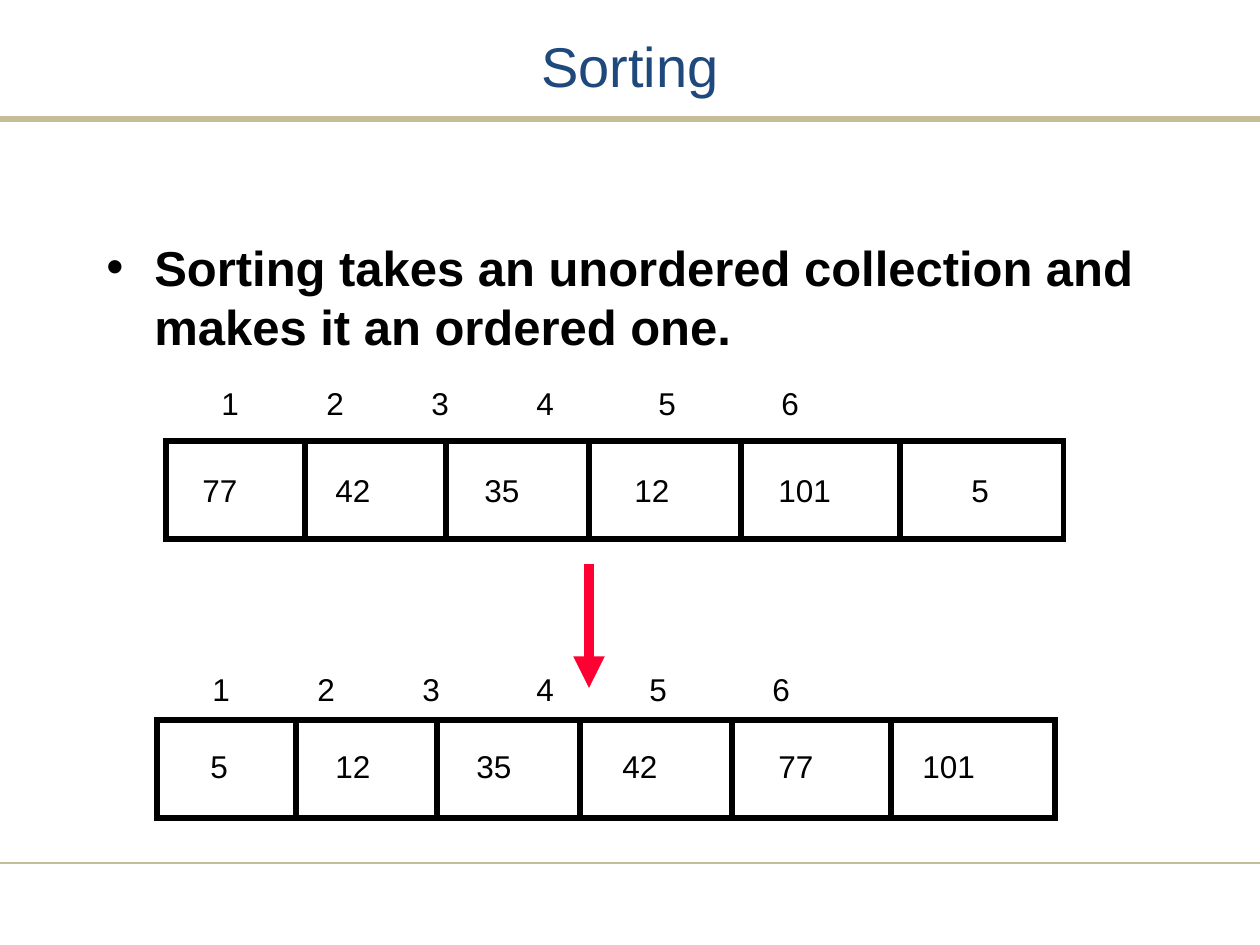
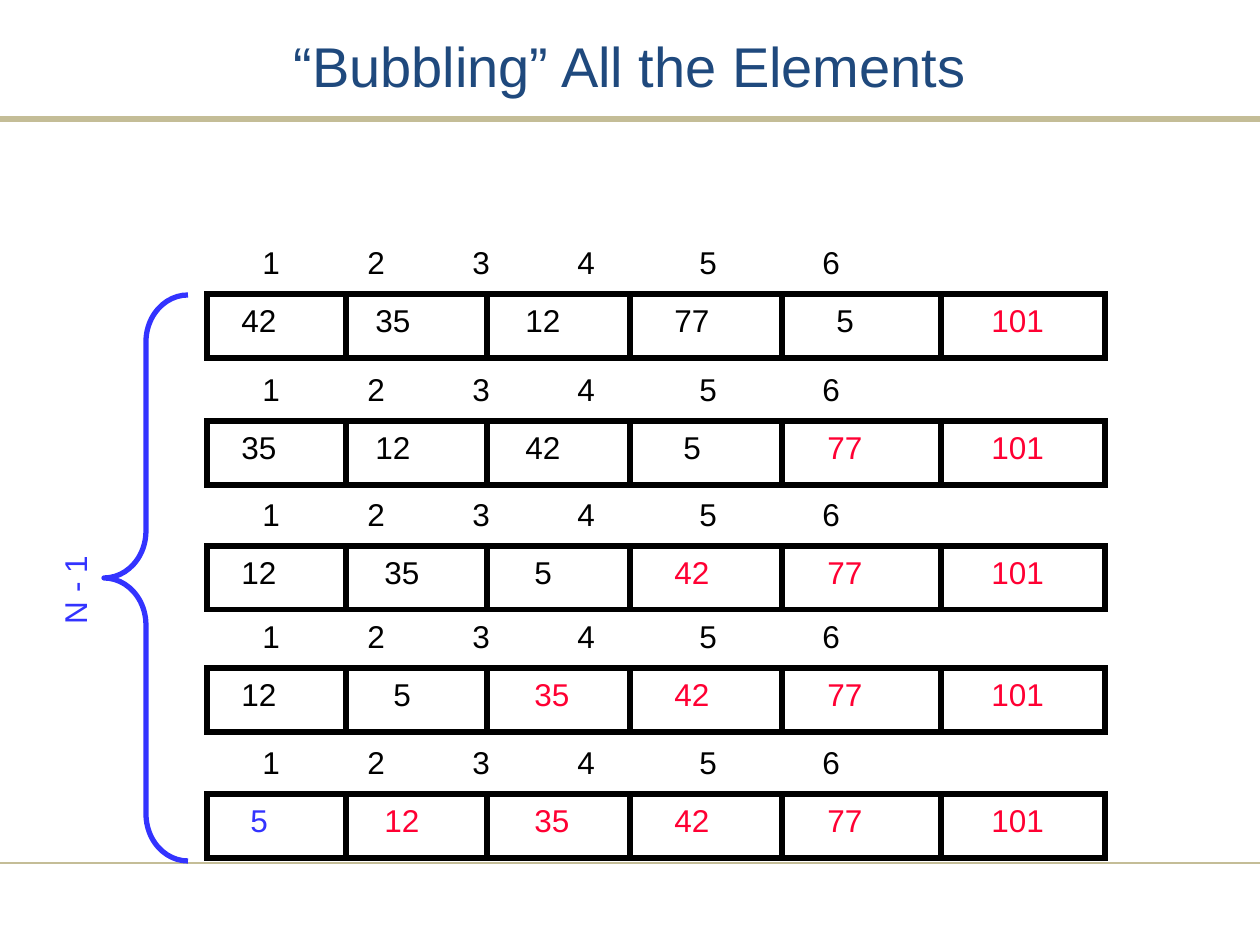
from lxml.etree import SubElement
from pptx import Presentation
from pptx.dml.color import RGBColor
from pptx.enum.shapes import MSO_CONNECTOR, MSO_SHAPE
from pptx.enum.text import MSO_ANCHOR, PP_ALIGN
from pptx.oxml.ns import qn
from pptx.util import Pt

# Shared scale, font and colours
PX = 7257  # EMU in one pixel, 126 pixels to the inch
FONT = "Arial"
NAVY, TAN, BLACK, RED, BLUE = "1F497D", "C4BD97", "000000", "FF0033", "3333FF"
hue = RGBColor.from_string


def text(frame, words, size=18, color=BLACK, bold=False):
    """Write one run into the first paragraph and return that paragraph."""
    frame.word_wrap = True
    para = frame.paragraphs[0]
    run = para.add_run()
    run.text = words
    run.font.name, run.font.size, run.font.bold = FONT, Pt(size), bold
    run.font.color.rgb = hue(color)
    return para


def line(slide, x1, y1, x2, y2, color=BLACK, width=3):
    """Draw a straight line and return its outline element."""
    rule = slide.shapes.add_connector(
        MSO_CONNECTOR.STRAIGHT, x1 * PX, y1 * PX, x2 * PX, y2 * PX)
    rule.line.color.rgb = hue(color)
    rule.line.width = Pt(width)
    props = rule._element.spPr
    SubElement(props, qn("a:effectLst"))
    return props.get_or_add_ln()


deck = Presentation()
deck.slide_width, deck.slide_height = 1260 * PX, 945 * PX

# Both slides: title and the two rules
slides = []
for name in ("Sorting", "“Bubbling” All the Elements"):
    slide = deck.slides.add_slide(deck.slide_layouts[5])
    line(slide, 0, 863, 1260, 863, TAN, 1)
    line(slide, 0, 119, 1260, 119, TAN)
    title = slide.shapes.title
    title.left, title.top = 63 * PX, 16 * PX
    title.width, title.height = 1134 * PX, 98 * PX
    title.text_frame.vertical_anchor = MSO_ANCHOR.MIDDLE
    text(title.text_frame, name, 32, NAVY).alignment = PP_ALIGN.CENTER
    slides.append(slide)
intro, passes = slides

# Slide 1: bullet
body = intro.shapes.add_textbox(94 * PX, 231 * PX, 1071 * PX, 140 * PX)
para = text(body.text_frame, "Sorting takes an unordered collection and "
            "makes it an ordered one.", 28, bold=True)
para.space_before = Pt(5.6)
props = para._p.get_or_add_pPr()
props.set("marL", str(48 * PX))
props.set("indent", str(-48 * PX))
SubElement(props, qn("a:buFont"), typeface=FONT)
SubElement(props, qn("a:buChar"), char="•")

# Slide 1: arrow from the unordered to the ordered array
arrow = line(intro, 589, 564, 589, 688, RED, 6)
SubElement(arrow, qn("a:tailEnd"), type="triangle")

# Arrays: slide, left, top, height, lift of the index, drop of the values,
# fourth index stop, values, their offsets and colours
rows = [
    (intro, 166, 441, 98, 63, 24, 315, (77, 42, 35, 12, 101, 5),
     (24, 157, 306, 456, 600, 793), [BLACK] * 6),
    (intro, 157, 720, 98, 56, 21, 324, (5, 12, 35, 42, 77, 101),
     (41, 166, 307, 453, 609, 753), [BLACK] * 6),
]

# Each pass puts one more value in place; some values sit a few pads in
starts, PAD = (22, 156, 306, 455, 599, 763), 9
steps = [
    (294, (42, 35, 12, 77, 5, 101), (0, 0, 0, 0, 2, 1)),
    (421, (35, 12, 42, 5, 77, 101), (0, 0, 0, 1, 1, 1)),
    (546, (12, 35, 5, 42, 77, 101), (0, 1, 1, 0, 1, 1)),
    (668, (12, 5, 35, 42, 77, 101), (0, 2, 1, 0, 1, 1)),
    (794, (5, 12, 35, 42, 77, 101), (1, 1, 1, 0, 1, 1)),
]
for done, (top, values, pads) in enumerate(steps, 1):
    shifts = [start + pad * PAD for start, pad in zip(starts, pads)]
    first = BLUE if done == len(steps) else BLACK
    colors = [first] * (6 - done) + [RED] * done
    rows.append((passes, 207, top, 64, 57, 1, 315, values, shifts, colors))

for slide, left, top, high, lift, drop, fourth, values, shifts, colors in rows:
    # Frame and dividers
    frame = slide.shapes.add_shape(
        MSO_SHAPE.RECTANGLE, left * PX, top * PX, 898 * PX, high * PX)
    frame.shadow.inherit = False
    frame.fill.background()
    frame.line.color.rgb = hue(BLACK)
    frame.line.width = Pt(3)
    SubElement(frame._element.spPr.get_or_add_ln(), qn("a:miter"), lim="800000")
    for edge in (139, 280, 423, 575, 734):
        line(slide, left + edge, top, left + edge, top + high)

    # Index numbers on tab stops
    index = slide.shapes.add_textbox(
        (left + 43) * PX, (top - lift) * PX, 791 * PX, 63 * PX)
    para = text(index.text_frame, "1\t2\t3\t4\t5\t6")
    tabs = SubElement(para._p.get_or_add_pPr(), qn("a:tabLst"))
    for stop in (105, 210, fourth, 437, 560):
        SubElement(tabs, qn("a:tab"), pos=str(stop * PX), algn="l")

    # Values
    for value, shift, color in zip(values, shifts, colors):
        wide = 25 + 24 * len(str(value))
        cell = slide.shapes.add_textbox(
            (left + shift) * PX, (top + drop) * PX, wide * PX, 63 * PX)
        text(cell.text_frame, str(value), color=color)

# Slide 2: brace and its label
brace = passes.shapes.add_shape(
    MSO_SHAPE.LEFT_BRACE, 104 * PX, 295 * PX, 84 * PX, 566 * PX)
brace.shadow.inherit = False
brace.adjustments[0] = 0.56
brace.fill.background()
brace.line.color.rgb = hue(BLUE)
brace.line.width = Pt(3)
label = passes.shapes.add_textbox(23 * PX, 547 * PX, 116 * PX, 63 * PX)
label.rotation = 270
text(label.text_frame, "N - 1", color=BLUE)

deck.save("out.pptx")
